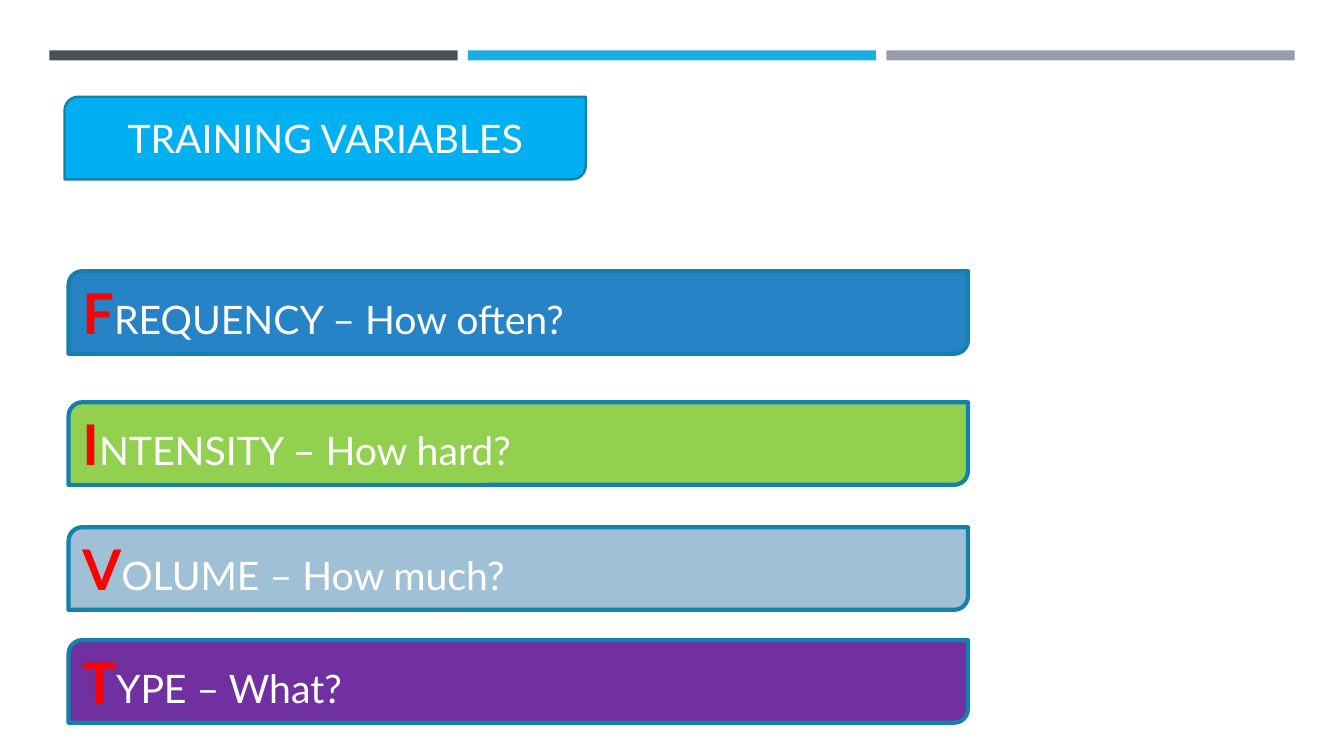
from pptx import Presentation
from pptx.dml.color import RGBColor
from pptx.enum.shapes import MSO_SHAPE as SHAPE
from pptx.enum.text import MSO_ANCHOR as ANCHOR, MSO_AUTO_SIZE as FIT, PP_ALIGN as ALIGN
from pptx.util import Inches, Pt

COLORS = {
    "slate": "465359", "sky": "1CADE4", "gray": "969FA7",
    "title": "00B0F0", "outline": "1580A9",
    "frequency": "2683C6", "intensity": "92D050",
    "volume": "A0C1D5", "type": "7030A0",
    "initial": "FF0000", "text": "FFFFFF",
}


class SlideBuilder:
    font = "Lato"

    def __init__(self, slide):
        self.slide = slide

    def color(self, name):
        return RGBColor.from_string(COLORS[name])

    def shape(self, kind, box, fill, line_width=None):
        sp = self.slide.shapes.add_shape(kind, *map(Inches, box))
        sp.shadow.inherit = False
        sp.fill.solid()
        sp.fill.fore_color.rgb = self.color(fill)
        if line_width:
            sp.line.color.rgb = self.color("outline")
            sp.line.width = Pt(line_width)
        else:
            sp.line.fill.background()
        return sp

    def add_text(self, sp, runs, align):
        tf = sp.text_frame
        tf.word_wrap = True
        tf.auto_size = FIT.NONE
        tf.vertical_anchor = ANCHOR.MIDDLE
        p = tf.paragraphs[0]
        p.alignment = align
        for text, size, color, bold in runs:
            r = p.add_run()
            r.text = text
            r.font.name = self.font
            r.font.size = Pt(size)
            r.font.bold = bold
            r.font.color.rgb = self.color(color)

    def title(self, text, box):
        panel = self.shape(SHAPE.ROUND_2_DIAG_RECTANGLE, box, "title", 1.75)
        sp = self.slide.shapes.title
        sp.left, sp.top, sp.width, sp.height = map(Inches, box)
        self.add_text(sp, [(text, 28, "text", False)], ALIGN.CENTER)
        # Bring the title text in front of its panel
        panel.element.addnext(sp.element)

    def variable(self, initial, rest, top, fill):
        sp = self.shape(SHAPE.ROUND_2_DIAG_RECTANGLE, (0.68, top, 8.92, 0.82), fill, 3)
        runs = [(initial, 40, "initial", True), (rest, 28, "text", False)]
        self.add_text(sp, runs, ALIGN.LEFT)


def main():
    prs = Presentation()
    prs.slide_width, prs.slide_height = Inches(13.33), Inches(7.5)
    s = SlideBuilder(prs.slides.add_slide(prs.slide_layouts[5]))

    # Three bars across the top
    for i, fill in enumerate(("slate", "sky", "gray")):
        s.shape(SHAPE.RECTANGLE, (0.49 + 4.15 * i, 0.5, 4.05, 0.1), fill)

    # Title
    s.title("TRAINING VARIABLES", (0.64, 0.96, 5.17, 0.82))

    # Training variables
    variables = [
        ("F", "REQUENCY – How often?", 2.69, "frequency"),
        ("I", "NTENSITY – How hard?", 3.99, "intensity"),
        ("V", "OLUME – How much?", 5.23, "volume"),
        ("T", "YPE – What?", 6.35, "type"),
    ]
    for variable in variables:
        s.variable(*variable)

    prs.save("out.pptx")


if __name__ == "__main__":
    main()
